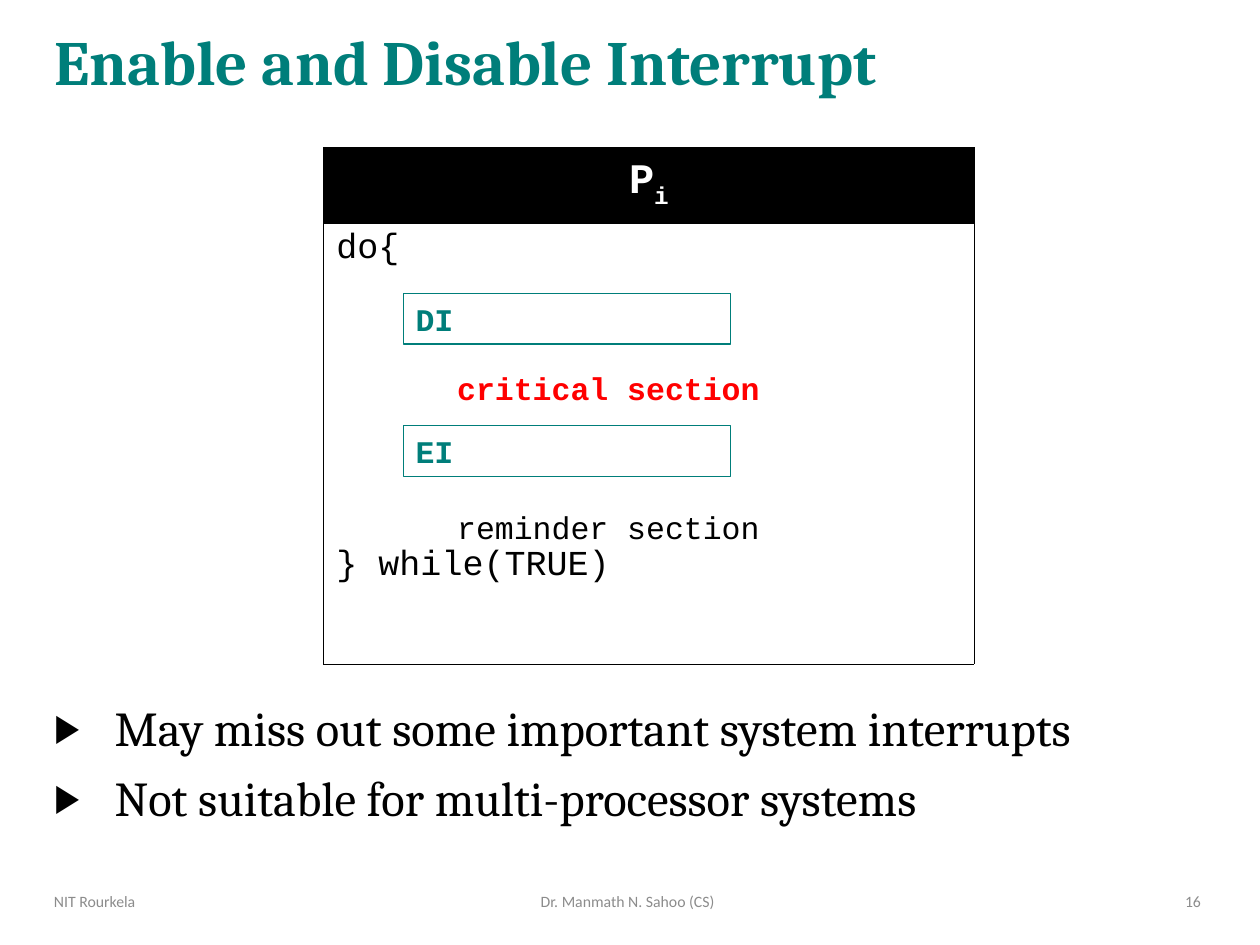
from lxml import etree
from pptx import Presentation
from pptx import util as u
from pptx.dml.color import RGBColor
from pptx.enum import shapes, text
from pptx.oxml import ns

TEAL, BLACK, WHITE, RED, GREY = "007E7A", "000000", "FFFFFF", "FF0000", "8C8C8C"
SERIF, MONO, SANS = "Cambria", "Courier New", "Calibri"
LEFT, CENTER, RIGHT = text.PP_ALIGN.LEFT, text.PP_ALIGN.CENTER, text.PP_ALIGN.RIGHT
MIDDLE = text.MSO_ANCHOR.MIDDLE


def color(value):
    return RGBColor.from_string(value)


def place(sp, box):
    sp.left, sp.top, sp.width, sp.height = (u.Inches(v) for v in box)


def style(p, size, font, value, bold=False, align=LEFT):
    p.alignment = align
    for r in p.runs:
        r.font.size, r.font.name, r.font.bold = u.Pt(size), font, bold
        r.font.color.rgb = color(value)


def add_text(parent, box, words, size, font, value, bold=False, align=LEFT, wrap=True):
    sp = parent.add_textbox(*(u.Inches(v) for v in box))
    tf = sp.text_frame
    tf.word_wrap = wrap
    tf.text = words
    style(tf.paragraphs[0], size, font, value, bold, align)
    return sp


def add_title(s, box, words):
    sp = s.shapes.title
    place(sp, box)
    tf = sp.text_frame
    tf.text = words
    tf.vertical_anchor = MIDDLE
    tf.auto_size = text.MSO_AUTO_SIZE.NONE
    p = tf.paragraphs[0]
    p.line_spacing = 0.9
    style(p, 36, SERIF, TEAL, True)


def add_bullets(s, box, items):
    sp = s.placeholders[1]
    place(sp, box)
    tf = sp.text_frame
    tf.text = "\n".join(items)
    tf.auto_size = text.MSO_AUTO_SIZE.NONE
    for p in tf.paragraphs:
        pPr = p._p.get_or_add_pPr()
        indent = u.Inches(0.48)
        pPr.set("marL", str(indent))
        pPr.set("indent", str(-indent))
        etree.SubElement(pPr, ns.qn("a:buSzPct"), val="80000")
        etree.SubElement(pPr, ns.qn("a:buChar"), char="▶")
        p.line_spacing = 0.9
        p.space_before, p.space_after = u.Pt(0), u.Pt(10)
        style(p, 27.8, SERIF, BLACK, align=text.PP_ALIGN.JUSTIFY)


def set_cell(cell, fill):
    tcPr = cell._tc.get_or_add_tcPr()
    for side in ("lnL", "lnR", "lnT", "lnB"):
        ln = etree.SubElement(tcPr, ns.qn(f"a:{side}"), w=str(u.Pt(0.5)))
        paint = etree.SubElement(ln, ns.qn("a:solidFill"))
        etree.SubElement(paint, ns.qn("a:srgbClr"), val=BLACK)
    cell.fill.solid()
    cell.fill.fore_color.rgb = color(fill)


def add_process_table(s, box):
    tbl = s.shapes.add_table(2, 1, *(u.Inches(v) for v in box)).table
    head, body = tbl.cell(0, 0), tbl.cell(1, 0)
    tbl.rows[0].height = u.Inches(0.6)
    tbl.rows[1].height = u.Inches(box[3] - 0.6)
    set_cell(head, BLACK)
    set_cell(body, WHITE)
    head.vertical_anchor = MIDDLE
    p = head.text_frame.paragraphs[0]
    for part in "Pi":
        p.add_run().text = part
    style(p, 24, MONO, WHITE, True, CENTER)
    p.runs[1].font._element.set("baseline", "-25000")
    body.text_frame.text = "do{\n} while(TRUE)"
    for p in body.text_frame.paragraphs:
        style(p, 20, MONO, BLACK)
    p.space_before = u.Pt(158.6)


def add_sections(s, box):
    x, y, w, pitch = box
    group = s.shapes.add_group_shape().shapes
    for i, words in enumerate(("DI", "EI")):
        sp = group.add_shape(shapes.MSO_SHAPE.RECTANGLE,
                             *(u.Inches(v) for v in (x, y + i * pitch, w, 0.4)))
        sp.shadow.inherit = False
        sp.fill.background()
        sp.line.color.rgb = color(TEAL)
        sp.line.width = u.Pt(0.75)
        tf = sp.text_frame
        tf.text = words
        tf.vertical_anchor = text.MSO_ANCHOR.TOP
        style(tf.paragraphs[0], 18, MONO, TEAL, True)
    labels = (("critical section", RED, True), ("reminder section", BLACK, False))
    for i, (words, value, bold) in enumerate(labels):
        add_text(group, (x + 0.33, y + 0.55 + i * 1.1, w, 0.43), words, 18, MONO,
                 value, bold, wrap=False)


def add_footer(s, box):
    x, y, w, h = box
    parts = ((0, 0.28, "NIT Rourkela", LEFT),
             (0.32, 0.36, "Dr. Manmath N. Sahoo (CS)", CENTER),
             (0.745, 0.255, "16", RIGHT))
    for start, share, words, align in parts:
        sp = add_text(s.shapes, (x + start * w, y, share * w, h), words, 9, SANS,
                      GREY, align=align)
        sp.text_frame.vertical_anchor = MIDDLE


def main():
    prs = Presentation()
    prs.slide_width, prs.slide_height = u.Inches(10), u.Inches(7.5)
    s = prs.slides.add_slide(prs.slide_layouts[1])
    add_title(s, (0.33, 0.04, 9.3, 0.96), "Enable and Disable Interrupt")
    add_bullets(s, (0.33, 5.54, 9.3, 1.21),
                ("May miss out some important system interrupts",
                 "Not suitable for multi-processor systems"))
    add_process_table(s, (2.57, 1.17, 5.16, 4.1))
    add_sections(s, (3.2, 2.33, 2.6, 1.05))
    add_footer(s, (0.33, 6.95, 9.3, 0.4))
    prs.save("out.pptx")


if __name__ == "__main__":
    main()
